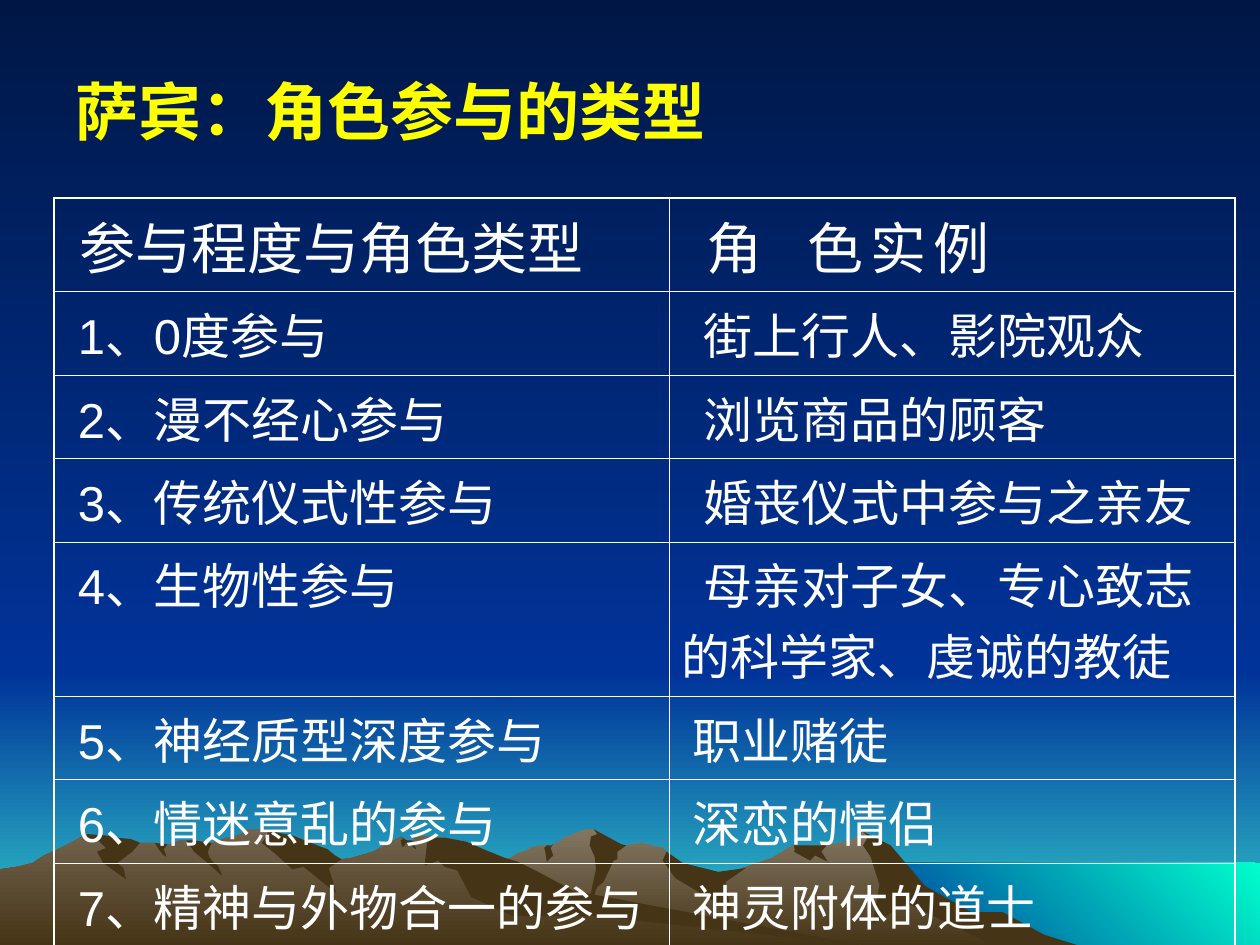
import pptx
import pptx.util
import pptx.dml.color
import pptx.enum.shapes
import pptx.enum.text
import pptx.oxml
import pptx.oxml.ns

Pt = pptx.util.Pt
FONT = "Arial"
WHITE = "FFFFFF"
DARK = "463416"

# Outlines in hundredths of an inch (0.72 pt) from the corner of the scene
RIGHT = """802,740 778,727 764,723 723,698 702,671 685,660 676,667 656,671 629,671
613,681 566,697 536,690 529,676 526,673 509,669 497,671 486,673 474,661 471,658
465,658 450,664 448,665 444,668 438,671 430,671 424,672 418,675 412,677 405,681
399,683 394,685 355,698 327,709 277,739 258,751 821,751"""
LEFT = """690,751 667,748 432,712 354,665 331,663 327,668 323,668 318,664 296,676
279,681 271,682 260,676 236,681 223,663 219,660 212,658 196,658 191,662 180,665
168,669 160,671 148,667 143,667 132,671 128,671 123,669 111,669 94,671 68,662
56,669 50,672 46,674 35,679 26,685 14,688 0,690 0,751"""
RIGHT_SHADES = [
    """796,724 771,724 734,703 707,671 685,660 689,664 685,671 691,680 698,702
    693,733 720,717 792,752 858,751 829,742""",
    """471,658 474,662 469,664 468,671 472,680 473,690 465,727 474,704 479,700
    487,683 490,682 490,676 497,671 493,670""",
    "529,676 526,683 536,697 580,723 576,700 592,689 570,692 542,685",
    "650,671 630,671 631,675 630,676 643,683 647,679 657,684 652,676 656,671",
    "433,677 432,673 434,671 438,671 439,670 437,673 439,679 434,684",
]
LEFT_SHADES = [
    """212,663 208,669 219,678 232,690 241,688 267,709 261,689 271,682 266,679
    260,674 252,671 232,663 226,662 213,659""",
    """370,668 354,665 344,665 339,669 337,687 348,683 353,688 363,691 374,712
    407,727 472,727 690,751 683,750 455,707 427,692 411,684 401,681 386,675""",
    """318,667 320,666 318,664 323,667 327,667 330,673 330,674 326,671 322,669
    322,670 320,672 319,672""",
    """154,667 161,668 168,669 165,676 166,680 169,684 173,687 176,694 176,695
    165,685 154,676 148,667""",
    "133,670 130,674 132,679 132,680 129,678 126,674 123,669",
    """109,668 111,669 105,676 93,685 98,689 100,698 82,685 77,676 84,673 79,668
    69,664 69,662 83,663 94,665 104,666""",
]

# Each row: cells of (text, leading indent in spaces)
ROWS = [
    (("参与程度与角色类型", 1), ("角\t色\t实\t例", 2)),
    (("1、0度参与", 1), ("街上行人、影院观众", 2)),
    (("2、漫不经心参与", 1), ("浏览商品的顾客", 2)),
    (("3、传统仪式性参与", 1), ("婚丧仪式中参与之亲友", 2)),
    (("4、生物性参与", 1), ("母亲对子女、专心致志的科学家、虔诚的教徒", 2)),
    (("5、神经质型深度参与", 1), ("职业赌徒", 1)),
    (("6、情迷意乱的参与", 1), ("深恋的情侣", 1)),
    (("7、精神与外物合一的参与", 1), ("神灵附体的道士", 1)),
]
HEIGHTS = [46, 41, 41, 41, 75, 41, 41, 75]
WIDTHS = [351.4, 323.3]


def color(code):
    return pptx.dml.color.RGBColor.from_string(code)


def paint(fill, codes, angle=270):
    """Solid fill for one colour, linear gradient for two."""
    if len(codes) == 1:
        fill.solid()
        fill.fore_color.rgb = color(codes[0])
        return
    fill.gradient()
    fill.gradient_angle = angle
    for stop, code in zip(fill.gradient_stops, codes):
        stop.color.rgb = color(code)


def finish(shape, codes, angle=270):
    shape.shadow.inherit = False
    shape.line.fill.background()
    paint(shape.fill, codes, angle)


def block(slide, left, top, width, height, codes, angle=270):
    kind = pptx.enum.shapes.MSO_SHAPE.RECTANGLE
    box = slide.shapes.add_shape(kind, Pt(left), Pt(top), Pt(width), Pt(height))
    finish(box, codes, angle)


def rock(slide, left, top, outline, *codes):
    dots = [tuple(map(int, dot.split(","))) for dot in outline.split()]
    form = slide.shapes.build_freeform(*dots[0], scale=Pt(0.72))
    form.add_line_segments(dots[1:], close=True)
    finish(form.convert_to_shape(Pt(left), Pt(top)), codes)


def scene(slide, left, top, width, height):
    # Sky, haze and sea
    sky = 384
    block(slide, left, top + sky, width, height - sky, ["003399", "33CCCC"])
    block(slide, left, top, width, sky, ["001746", "003399"])
    block(slide, left + 492, top + 493, width - 492, height - 493,
          ["00FFCC", "003399"], 225)
    # Hills, each with its shaded faces
    for hill, light, shades in ((RIGHT, "837763", RIGHT_SHADES),
                                (LEFT, "72644E", LEFT_SHADES)):
        rock(slide, left, top, hill, light, DARK)
        for shade in shades:
            rock(slide, left, top, shade, DARK)


def write(para, text, size, code, bold=False):
    run = para.add_run()
    run.text = text
    run.font.name = FONT
    run.font.size = Pt(size)
    run.font.bold = bold
    run.font.color.rgb = color(code)


def heading(slide, left, top, width, height):
    title = slide.shapes.title
    title.left, title.top = Pt(left), Pt(top)
    title.width, title.height = Pt(width), Pt(height)
    # Bring the title in front of the scene
    slide.shapes._spTree.append(title._element)
    frame = title.text_frame
    frame.vertical_anchor = pptx.enum.text.MSO_ANCHOR.MIDDLE
    para = frame.paragraphs[0]
    para.alignment = pptx.enum.text.PP_ALIGN.LEFT
    write(para, "萨宾：角色参与的类型", 36, "FFFF00", True)


def border(cell, outer):
    """Draw four sides; those named in outer are heavier."""
    props = cell._tc.get_or_add_tcPr()
    for spot, side in enumerate("LRTB"):
        width = Pt(1.08 if side in outer else 0.45)
        props.insert(spot, pptx.oxml.parse_xml(
            f'<a:ln{side} {pptx.oxml.ns.nsdecls("a")} w="{width}"><a:solidFill>'
            f'<a:srgbClr val="{WHITE}"/></a:solidFill></a:ln{side}>'))


def indent(para, size, count):
    """Indent the first line by spaces, and set tabs three spaces apart."""
    space = 0.224 * size
    props = para._p.get_or_add_pPr()
    props.set("marL", "0")
    props.set("indent", str(Pt(count * space)))
    stops = "".join(
        f'<a:tab pos="{Pt(count * space + step * (size + 3 * space))}" algn="l"/>'
        for step in (1, 2, 3))
    props.append(pptx.oxml.parse_xml(
        f'<a:tabLst {pptx.oxml.ns.nsdecls("a")}>{stops}</a:tabLst>'))


def roles(slide, left, top):
    frame = slide.shapes.add_table(len(ROWS), len(WIDTHS), Pt(left), Pt(top),
                                   Pt(sum(WIDTHS)), Pt(sum(HEIGHTS)))
    table = frame.table
    table.first_row = table.horz_banding = False
    for col, width in zip(table.columns, WIDTHS):
        col.width = Pt(width)
    for row, (texts, height) in enumerate(zip(ROWS, HEIGHTS)):
        table.rows[row].height = Pt(height)
        size = 28 if row else 32
        for col, (text, count) in enumerate(texts):
            cell = table.cell(row, col)
            cell.fill.background()
            outer = "R" if col else "L"
            outer += {0: "T", len(ROWS) - 1: "B"}.get(row, "")
            border(cell, outer)
            para = cell.text_frame.paragraphs[0]
            indent(para, size, count)
            write(para, text, size, WHITE)


def main():
    deck = pptx.Presentation()
    deck.slide_width, deck.slide_height = Pt(720), Pt(540)
    slide = deck.slides.add_slide(deck.slide_layouts[5])
    paint(slide.background.fill, ["001746", "003399"])
    scene(slide, 0, 0, 720, 540)
    heading(slide, 36, 18, 648, 90)
    roles(slide, 31, 113)
    deck.save("out.pptx")


if __name__ == "__main__":
    main()
